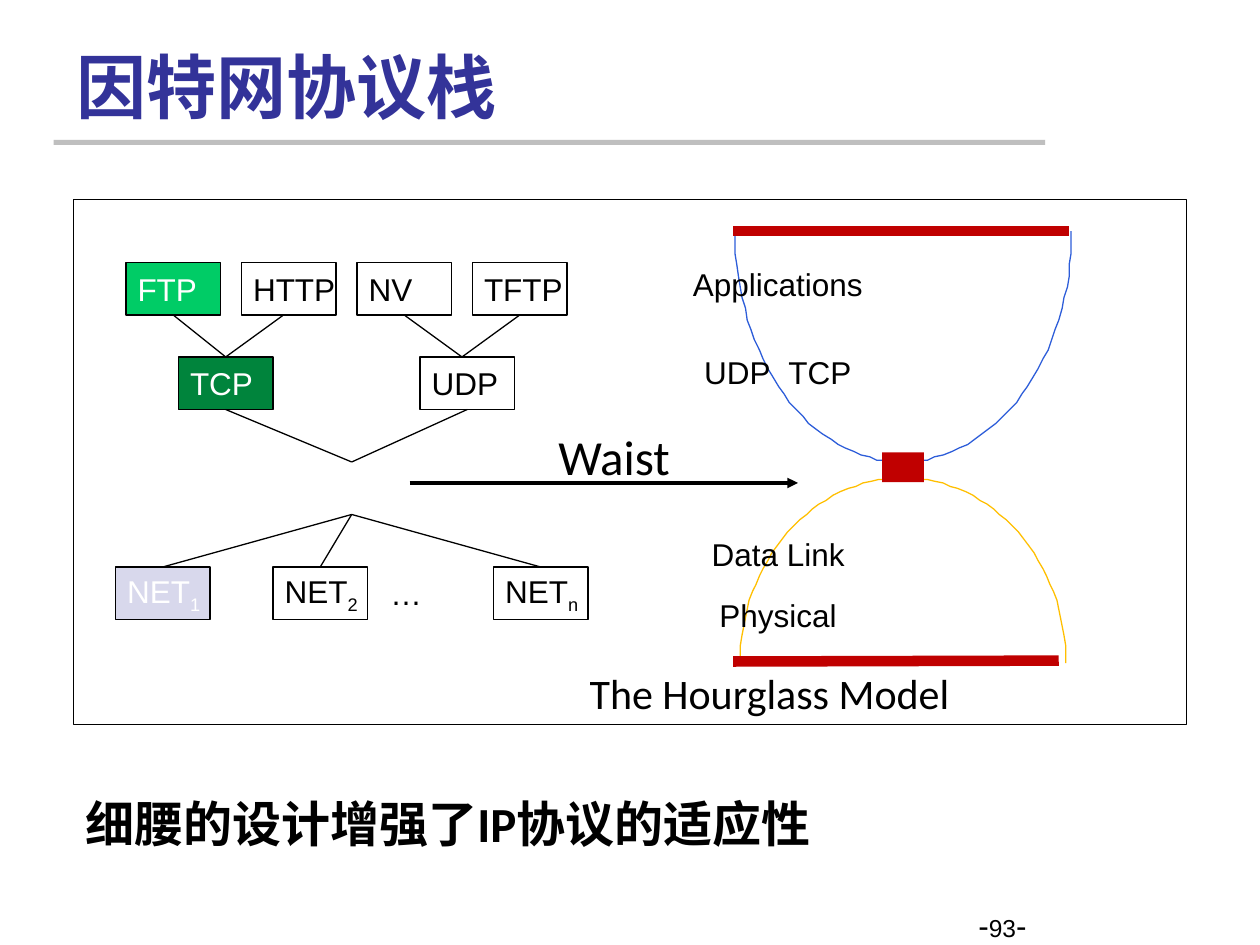
import math
import pptx
import pptx.util
import pptx.dml.color
import pptx.enum.shapes
import pptx.enum.text
import pptx.oxml.ns
from lxml import etree

Pt = pptx.util.Pt
RGB = pptx.dml.color.RGBColor
ANCHOR = pptx.enum.text.MSO_ANCHOR
RECTANGLE = pptx.enum.shapes.MSO_SHAPE.RECTANGLE
STRAIGHT = pptx.enum.shapes.MSO_CONNECTOR.STRAIGHT
qn = pptx.oxml.ns.qn

BLACK = RGB(0x00, 0x00, 0x00)
WHITE = RGB(0xFF, 0xFF, 0xFF)
NAVY = RGB(0x33, 0x33, 0x99)
GRAY = RGB(0xBF, 0xBF, 0xBF)
RED = RGB(0xC0, 0x00, 0x00)
BLUE = RGB(0x2D, 0x5D, 0xD9)
AMBER = RGB(0xFF, 0xBF, 0x00)
GREEN = RGB(0x00, 0xCC, 0x66)
DARK_GREEN = RGB(0x00, 0x84, 0x3C)
LAVENDER = RGB(0xD8, 0xD8, 0xEC)

CJK = "Noto Sans CJK SC"
LABEL = {"name": "Arial", "size": Pt(18)}
SMALL = {"name": "Arial", "size": Pt(14)}
CAPTION = {"name": "Calibri", "size": Pt(24)}
WAIST = {"name": "Calibri", "size": Pt(28)}
CONCLUSION = {"name": "Calibri", "size": Pt(28), "bold": True}
TITLE = {"name": CJK, "size": Pt(40), "bold": True}
INSETS = {"margin_left": Pt(7.2), "margin_right": Pt(7.2),
          "margin_top": Pt(3.6), "margin_bottom": Pt(3.6), "word_wrap": True}
BOX_FRAME = {**INSETS, "margin_left": Pt(6.6), "margin_right": 0,
             "vertical_anchor": ANCHOR.MIDDLE}

BOX_W, BOX_H = 54, 30
APPS_TOP, TRANSPORT_TOP, NETS_TOP = 150, 204, 324
APPS_LEFT, APPS_PITCH = 72, 66
PROTOCOLS = {
    **{app: (APPS_LEFT + i * APPS_PITCH, APPS_TOP, app, "", fill, ink)
       for i, (app, fill, ink) in enumerate([
           ("FTP", GREEN, WHITE), ("HTTP", WHITE, BLACK),
           ("NV", WHITE, BLACK), ("TFTP", WHITE, BLACK)])},
    "TCP": (102, TRANSPORT_TOP, "TCP", "", DARK_GREEN, WHITE),
    "UDP": (240, TRANSPORT_TOP, "UDP", "", WHITE, BLACK),
    "NET1": (66, NETS_TOP, "NET", "1", LAVENDER, WHITE),
    "NET2": (156, NETS_TOP, "NET", "2", WHITE, BLACK),
    "NETn": (282, NETS_TOP, "NET", "n", WHITE, BLACK),
}
JUNCTIONS = {"above waist": (201, 264), "below waist": (201, 294)}
LINKS = [
    ("FTP", 0, "TCP", 0), ("HTTP", -3, "TCP", 0),
    ("NV", 0, "UDP", -3), ("TFTP", 0, "UDP", -3),
    ("TCP", 0, "above waist", 0), ("UDP", 0, "above waist", 0),
    ("below waist", 0, "NETn", 0), ("below waist", 0, "NET1", 0),
    ("below waist", 0, "NET2", 0),
]

RULES = [
    ((30.7, 80, 566.6, 2.9), GRAY, None),
    ((42, 114, 636, 300), WHITE, BLACK),
]
WAIST_BLOCK = (504, 258.5, 24, 17)
QUARTERS = [
    (516, 379, 93, -106, AMBER), (516, 379, -93, -106, AMBER),
    (515.5, 132, 97, 132, BLUE), (515.5, 132, -95.5, 132, BLUE),
]
RIMS = [(419, 132, 611, 132), (419, 378, 605, 377.5)]

TEXTS = [
    ((36.8, 20.2, 594, 56), [("因特网协议栈", TITLE)], NAVY, ANCHOR.BOTTOM),
    ((395.3, 198, 197, 29), [("UDP", LABEL)], BLACK, ANCHOR.TOP),
    ((443.5, 198, 194, 29), [("TCP", LABEL)], BLACK, ANCHOR.TOP),
    ((399.6, 302.4, 234, 29), [("Data Link", LABEL)], BLACK, ANCHOR.TOP),
    ((404, 337, 225, 29), [("Physical", LABEL)], BLACK, ANCHOR.TOP),
    ((388.8, 147.6, 256, 29), [("Applications", LABEL)], BLACK, ANCHOR.TOP),
    ((329.8, 378, 364, 36), [("The Hourglass Model", CAPTION)], BLACK, ANCHOR.TOP),
    ((312, 240, 126, 41), [("Waist", WAIST)], BLACK, ANCHOR.TOP),
    ((42, 450, 618, 41), [("细腰的设计增强了IP协议的适应性", CONCLUSION)], BLACK, ANCHOR.TOP),
    ((216, NETS_TOP, BOX_W, BOX_H), [("…", LABEL)], BLACK, ANCHOR.MIDDLE),
    ((552, 514, 168, 36), [("-", LABEL), ("93", SMALL), ("-", LABEL)], BLACK, ANCHOR.TOP),
]

deck = pptx.Presentation()
deck.slide_width, deck.slide_height = Pt(720), Pt(540)
slide = deck.slides.add_slide(deck.slide_layouts[6])
shapes = slide.shapes


def assign(target, values):
    for attribute, value in values.items():
        setattr(target, attribute, value)


def add_run(paragraph, words, style, ink):
    run = paragraph.add_run()
    run.text = words
    assign(run.font, style)
    run.font.color.rgb = ink
    east_asian = etree.SubElement(run._r.get_or_add_rPr(), qn("a:ea"))
    east_asian.set("typeface", CJK)
    return run


def add_rectangle(place, fill, edge=None):
    rectangle = shapes.add_shape(RECTANGLE, *map(Pt, place))
    rectangle.shadow.inherit = False
    rectangle.fill.solid()
    rectangle.fill.fore_color.rgb = fill
    if edge is None:
        rectangle.line.fill.background()
    else:
        rectangle.line.color.rgb = edge
        rectangle.line.width = Pt(0.75)
    return rectangle


def add_line(ends, color, width):
    line = shapes.add_connector(STRAIGHT, *map(Pt, ends))
    line.line.color.rgb = color
    line.line.width = Pt(width)
    etree.SubElement(line._element.spPr, qn("a:effectLst"))
    return line


def add_quarter(center_x, center_y, radius_x, radius_y, color, steps=32):
    angles = [math.pi / 2 * i / steps for i in range(steps + 1)]
    points = [(center_x + radius_x * math.cos(a), center_y + radius_y * math.sin(a))
              for a in angles]
    builder = shapes.build_freeform(*points[0], scale=Pt(1))
    builder.add_line_segments(points[1:], close=False)
    curve = builder.convert_to_shape()
    curve.shadow.inherit = False
    curve.fill.background()
    curve.line.color.rgb = color
    curve.line.width = Pt(0.75)


def add_protocol(left, top, words, subscript, fill, ink):
    box = add_rectangle((left, top, BOX_W, BOX_H), fill, BLACK)
    assign(box.text_frame, BOX_FRAME)
    paragraph = box.text_frame.paragraphs[0]
    paragraph.alignment = pptx.enum.text.PP_ALIGN.LEFT
    add_run(paragraph, words, LABEL, ink)
    if subscript:
        run = add_run(paragraph, subscript, LABEL, ink)
        run._r.get_or_add_rPr().set("baseline", "-25000")
    return box


def port(part, shift, below):
    if part in JUNCTIONS:
        return JUNCTIONS[part]
    left, top = PROTOCOLS[part][:2]
    return left + BOX_W / 2 + shift, top + BOX_H * below


for rule in RULES:
    add_rectangle(*rule)

arrow = add_line((234, 276, 456, 276), BLACK, 2)
etree.SubElement(arrow.line._get_or_add_ln(), qn("a:tailEnd")).set("type", "triangle")

for quarter in QUARTERS:
    add_quarter(*quarter)
for rim in RIMS:
    add_line(rim, RED, 6)
add_rectangle(WAIST_BLOCK, RED)

for place, runs, ink, anchor in TEXTS:
    frame = shapes.add_textbox(*map(Pt, place)).text_frame
    assign(frame, {**INSETS, "vertical_anchor": anchor})
    for words, style in runs:
        add_run(frame.paragraphs[0], words, style, ink)

boxes = {protocol: add_protocol(*parts) for protocol, parts in PROTOCOLS.items()}

for upper, upper_shift, lower, lower_shift in LINKS:
    link = add_line(port(upper, upper_shift, 1) + port(lower, lower_shift, 0), BLACK, 0.75)
    if upper in boxes and not upper_shift:
        link.begin_connect(boxes[upper], 2)
    if lower in boxes and not lower_shift:
        link.end_connect(boxes[lower], 0)

deck.save("out.pptx")
